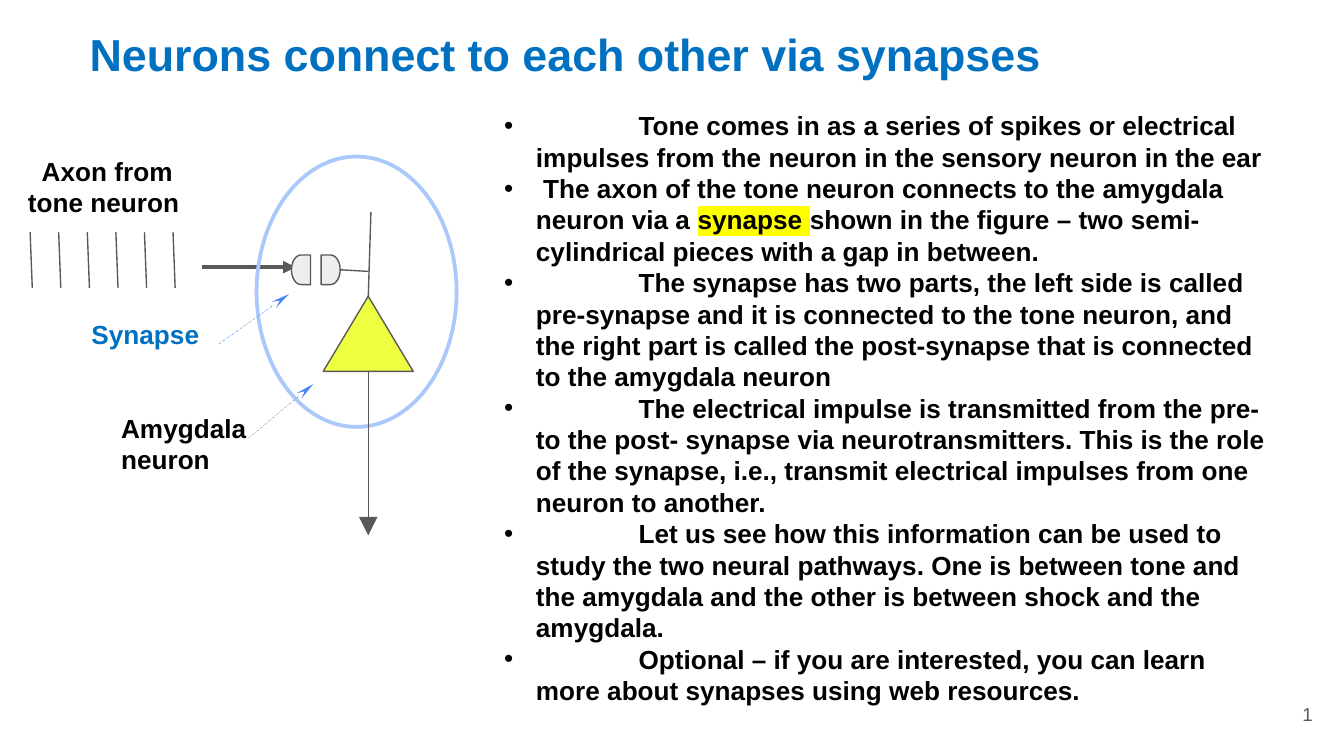
from lxml import etree
from pptx import Presentation
from pptx.dml.color import RGBColor
from pptx.enum.dml import MSO_LINE
from pptx.enum.shapes import MSO_CONNECTOR, MSO_SHAPE
from pptx.enum.text import MSO_ANCHOR, PP_ALIGN
from pptx.oxml.ns import qn
from pptx.util import Cm, Pt

STRAIGHT = MSO_CONNECTOR.STRAIGHT
TRIANGLE, OVAL = MSO_SHAPE.ISOSCELES_TRIANGLE, MSO_SHAPE.OVAL
HALF_CYLINDER = MSO_SHAPE.FLOWCHART_DELAY
DASH_DOT = MSO_LINE.DASH_DOT
LEFT, CENTER, RIGHT = PP_ALIGN.LEFT, PP_ALIGN.CENTER, PP_ALIGN.RIGHT
TOP, MIDDLE = MSO_ANCHOR.TOP, MSO_ANCHOR.MIDDLE

BLACK = RGBColor(0x00, 0x00, 0x00)
BLUE = RGBColor(0x00, 0x70, 0xC0)
GREY = RGBColor(0x59, 0x59, 0x59)
PALE_GREY = RGBColor(0xEE, 0xEE, 0xEE)
YELLOW = RGBColor(0xEE, 0xFF, 0x41)
HIGHLIGHT = RGBColor(0xFF, 0xFF, 0x00)
RING_BLUE = RGBColor(0xAA, 0xC8, 0xFA)
POINTER_BLUE = RGBColor(0x42, 0x85, 0xF4)

deck = Presentation()
deck.slide_width, deck.slide_height = Cm(25.4), Cm(14.29)
page = deck.slides.add_slide(deck.slide_layouts[6])


def add_text(text, left, top, width, height, size=14, color=BLACK, bold=True,
             align=LEFT, anchor=TOP, bullet=False, first_indent=0):
    """Add a text box; each line is a paragraph, words between bars are highlighted."""
    box = page.shapes.add_textbox(Cm(left), Cm(top), Cm(width), Cm(height))
    frame = box.text_frame
    frame.word_wrap = True
    frame.vertical_anchor = anchor
    for number, line in enumerate(text.split("\n")):
        para = frame.paragraphs[0] if number == 0 else frame.add_paragraph()
        para.alignment = align
        props = para._p.get_or_add_pPr()
        if first_indent:
            props.set("indent", str(Cm(first_indent)))
        if bullet:
            props.set("marL", str(Cm(0.6)))
            props.set("indent", str(Cm(-0.6)))
            bullet_color = etree.SubElement(props, qn("a:buClr"))
            etree.SubElement(bullet_color, qn("a:srgbClr"), val=str(BLACK))
            etree.SubElement(props, qn("a:buFont"), typeface="Arial")
            etree.SubElement(props, qn("a:buChar"), char="•")
            tabs = etree.SubElement(props, qn("a:tabLst"))
            etree.SubElement(tabs, qn("a:tab"), pos=str(Cm(2.54)), algn="l")
        for index, part in enumerate(line.split("|")):
            span = para.add_run()
            span.text = part
            span.font.name, span.font.size, span.font.bold = "Arial", Pt(size), bold
            span.font.color.rgb = color
            if index % 2:
                glow = etree.Element(qn("a:highlight"))
                etree.SubElement(glow, qn("a:srgbClr"), val=str(HIGHLIGHT))
                span._r.rPr.find(qn("a:solidFill")).addnext(glow)


def add_line(x1, y1, x2, y2, color=GREY, weight=0.75, dash=None, head=None):
    """Add a straight line; head is (type, width, length) of the arrowhead."""
    line = page.shapes.add_connector(STRAIGHT, Cm(x1), Cm(y1), Cm(x2), Cm(y2))
    line.line.color.rgb = color
    line.line.width = Pt(weight)
    if dash:
        line.line.dash_style = dash
    if head:
        kind, width, length = head
        etree.SubElement(line.line._get_or_add_ln(), qn("a:tailEnd"),
                         type=kind, w=width, len=length)
    etree.SubElement(line._element.spPr, qn("a:effectLst"))


# Title, page number and explanation
add_text("Neurons connect to each other via synapses", 1.17, 0.38, 19.02, 1.27,
         size=24, color=BLUE, align=CENTER)
add_text("1", 23.54, 12.95, 1.52, 1.09, size=10, color=GREY, bold=False,
         align=RIGHT, anchor=MIDDLE)
points = [
    "\tTone comes in as a series of spikes or electrical impulses from the neuron "
    "in the sensory neuron in the ear",
    " The axon of the tone neuron connects to the amygdala neuron via a |synapse |"
    "shown in the figure – two semi-cylindrical pieces with a gap in between.",
    "\tThe synapse has two parts, the left side is called pre-synapse and it is "
    "connected to the tone neuron, and the right part is called the post-synapse "
    "that is connected to the amygdala neuron",
    "\tThe electrical impulse is transmitted from the pre- to the post- synapse via "
    "neurotransmitters. This is the role of the synapse, i.e., transmit electrical "
    "impulses from one neuron to another.",
    "\tLet us see how this information can be used to study the two neural pathways. "
    "One is between tone and the amygdala and the other is between shock and the "
    "amygdala.",
    "\tOptional – if you are interested, you can learn more about synapses using web "
    "resources.",
]
add_text("\n".join(points), 9.28, 1.95, 15.06, 12.22, bullet=True)

# Spike train and axon
for spike in range(6):
    x = 0.57 + 0.54 * spike
    add_line(x, 4.39, x + 0.04, 5.44)
add_line(3.81, 5.05, 5.59, 5.05, weight=2.25, head=("triangle", "med", "med"))

# Cell body, the two halves of the synapse and the ring around them
parts = [
    (TRIANGLE, 6.11, 5.6, 1.7, 1.42, YELLOW, GREY, 0.75, False),
    (HALF_CYLINDER, 5.51, 4.82, 0.36, 0.56, PALE_GREY, GREY, 0.75, True),
    (HALF_CYLINDER, 6.07, 4.82, 0.36, 0.56, PALE_GREY, GREY, 0.75, False),
    (OVAL, 4.85, 2.96, 3.78, 5.11, None, RING_BLUE, 2, False),
]
for kind, left, top, width, height, fill, outline, weight, mirrored in parts:
    part = page.shapes.add_shape(kind, Cm(left), Cm(top), Cm(width), Cm(height))
    part.shadow.inherit = False
    if fill:
        part.fill.solid()
        part.fill.fore_color.rgb = fill
    else:
        part.fill.background()
    part.line.color.rgb = outline
    part.line.width = Pt(weight)
    if mirrored:
        part._element.spPr.xfrm.set("flipH", "1")

# Dendrite, its branch and the outgoing axon
add_line(6.96, 5.6, 7.01, 4.01)
add_line(6.43, 5.1, 6.96, 5.13)
add_line(6.96, 7.02, 6.96, 10.12, head=("triangle", "lg", "lg"))

# Labels and their pointers
add_text("Axon from tone neuron", 0.28, 2.81, 3.51, 1.45, first_indent=0.26)
add_text("Amygdala neuron", 2.04, 7.67, 4.04, 1.45)
add_text("Synapse", 1.48, 5.89, 4.04, 1.32, color=BLUE)
for x1, y1, x2, y2 in [(4.7, 8.28, 5.92, 7.26), (4.14, 6.5, 5.46, 5.56)]:
    add_line(x1, y1, x2, y2, color=POINTER_BLUE, weight=0.25, dash=DASH_DOT,
             head=("stealth", "sm", "lg"))

deck.save("out.pptx")
